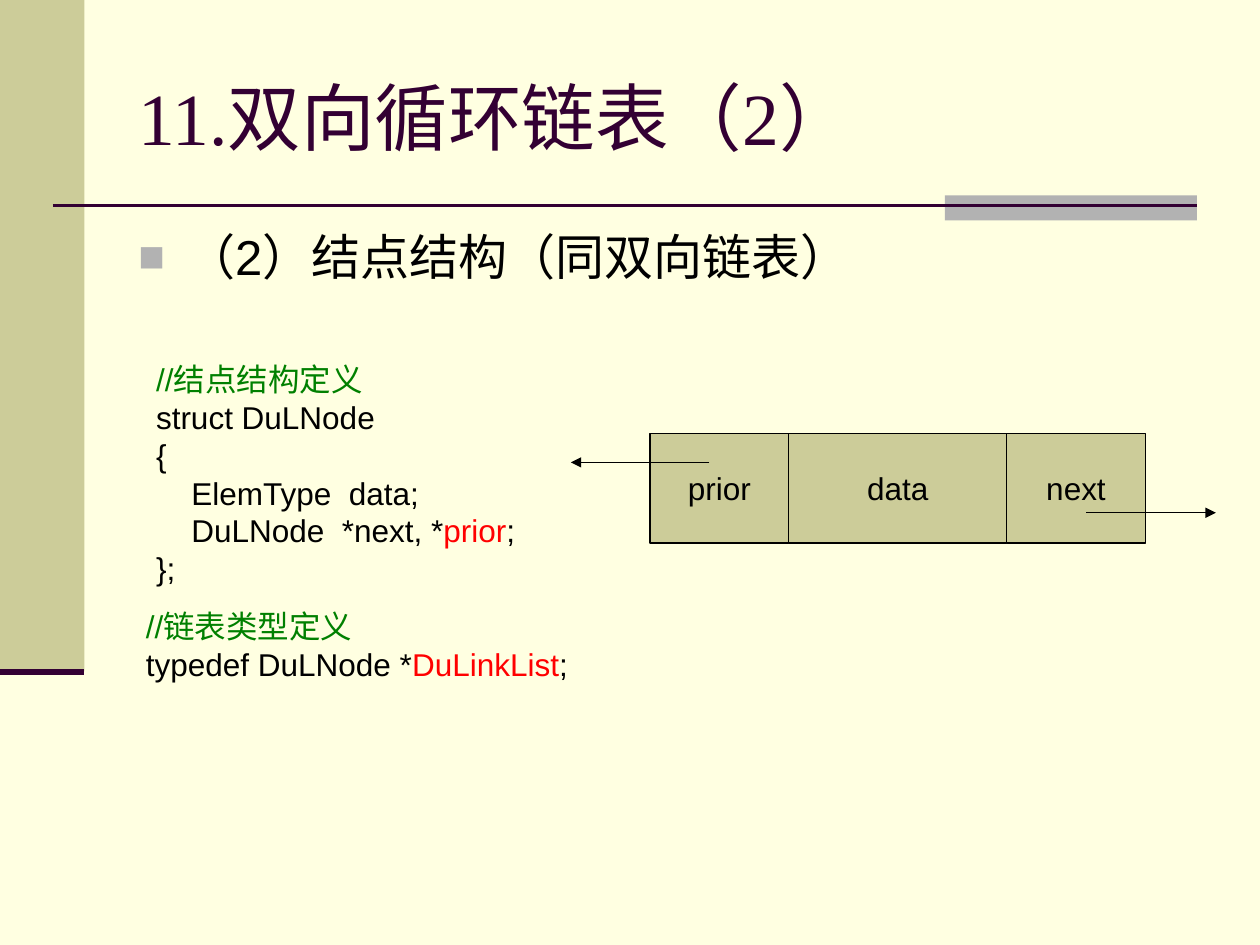
from pptx import Presentation
from pptx.dml.color import RGBColor
from pptx.enum.shapes import MSO_CONNECTOR, MSO_SHAPE
from pptx.enum.text import MSO_ANCHOR as ANCHOR, PP_ALIGN as ALIGN
from pptx.oxml.ns import qn
from pptx.util import Inches, Pt
from lxml.etree import SubElement

CREAM = RGBColor(0xFF, 0xFF, 0xE1)
KHAKI = RGBColor(0xCC, 0xCC, 0x99)
GRAY = RGBColor(0xB2, 0xB2, 0xB2)
PLUM = RGBColor(0x33, 0x00, 0x33)
BLACK = RGBColor(0, 0, 0)
GREEN = RGBColor(0, 0x80, 0)
RED = RGBColor(0xFF, 0, 0)


def write(frame, lines, size=18, font="Arial", align=ALIGN.LEFT,
          anchor=ANCHOR.TOP, wrap=True):
    """Each line is a list of (text, colour) runs."""
    frame.word_wrap = wrap
    frame.vertical_anchor = anchor
    for i, runs in enumerate(lines):
        paragraph = frame.add_paragraph() if i else frame.paragraphs[0]
        paragraph.alignment = align
        for text, color in runs:
            run = paragraph.add_run()
            run.text = text
            run.font.size = Pt(size)
            run.font.name = font
            run.font.color.rgb = color
    return frame.paragraphs


def add_box(slide, left, top, width, height, fill, outline=None):
    box = slide.shapes.add_shape(MSO_SHAPE.RECTANGLE, Inches(left), Inches(top),
                                 Inches(width), Inches(height))
    box.shadow.inherit = False
    box.fill.solid()
    box.fill.fore_color.rgb = fill
    if outline is None:
        box.line.fill.background()
    else:
        box.line.color.rgb = outline
        box.line.width = Pt(0.75)
    return box


def add_line(slide, x1, y1, x2, y2, color, width, arrow=False):
    line = slide.shapes.add_connector(MSO_CONNECTOR.STRAIGHT, Inches(x1), Inches(y1),
                                      Inches(x2), Inches(y2))
    line.line.color.rgb = color
    line.line.width = Pt(width)
    if arrow:
        SubElement(line.line._get_or_add_ln(), qn("a:tailEnd"), type="triangle")
    SubElement(line._element.spPr, qn("a:effectLst"))


def add_text(slide, left, top, width, height, lines, **style):
    box = slide.shapes.add_textbox(Inches(left), Inches(top), Inches(width), Inches(height))
    return write(box.text_frame, lines, **style)


def set_indent(paragraph, left, first=0):
    properties = paragraph._p.get_or_add_pPr()
    properties.set("marL", str(Inches(left)))
    properties.set("indent", str(Inches(first)))
    return properties


def add_decoration(slide):
    slide.background.fill.solid()
    slide.background.fill.fore_color.rgb = CREAM
    band_width, band_height = 0.67, 5.33
    add_box(slide, 0, 0, band_width, band_height, KHAKI)
    add_box(slide, 7.5, 1.55, 2, 0.2, GRAY)
    add_line(slide, 0.42, 1.63, 9.5, 1.63, PLUM, 1.5)
    add_line(slide, 0, band_height, band_width, band_height, PLUM, 3.5)


def add_title(slide, left, top, width, height):
    title = slide.shapes.title
    title.left, title.top = Inches(left), Inches(top)
    title.width, title.height = Inches(width), Inches(height)
    write(title.text_frame, [[("11.双向循环链表（2）", PLUM)]], size=42,
          font="Times New Roman", anchor=ANCHOR.MIDDLE)


def add_heading(slide, left, top, width, height):
    heading = add_text(slide, left, top, width, height,
                       [[("（2）结点结构（同双向链表）", BLACK)]], size=28)[0]
    heading.space_before = Pt(7)
    properties = set_indent(heading, 0.38, -0.38)
    bullet_color = SubElement(properties, qn("a:buClr"))
    SubElement(bullet_color, qn("a:srgbClr"), val=str(GRAY))
    SubElement(properties, qn("a:buSzPct"), val="90000")
    SubElement(properties, qn("a:buFont"), typeface="Arial")
    SubElement(properties, qn("a:buChar"), char="■")


def add_node_diagram(slide, left, top, height):
    field_left = left
    for field, width in (("prior", 1.1), ("data", 1.73), ("next", 1.1)):
        cell = add_box(slide, field_left, top, width, height, KHAKI, BLACK)
        write(cell.text_frame, [[(field, BLACK)]], align=ALIGN.CENTER,
              anchor=ANCHOR.MIDDLE, wrap=False)
        field_left += width
    next_y, prior_y = top + 0.63, top + 0.23
    add_line(slide, left + 3.46, next_y, left + 4.49, next_y, BLACK, 0.75, arrow=True)
    add_line(slide, left + 0.47, prior_y, left - 0.63, prior_y, BLACK, 0.75, arrow=True)


def add_node_code(slide, left, top, width, height):
    code = add_text(slide, left, top, width, height, [
        [("//结点结构定义", GREEN)],
        [("struct DuLNode", BLACK)],
        [("{", BLACK)],
        [("ElemType  data;", BLACK)],
        [("DuLNode  *next, *", BLACK), ("prior", RED), (";", BLACK)],
        [("};", BLACK)],
    ])
    for member in code[3:5]:
        set_indent(member, 0.28)


def add_list_code(slide, left, top, width, height):
    add_text(slide, left, top, width, height, [
        [("//链表类型定义", GREEN)],
        [("typedef DuLNode *", BLACK), ("DuLinkList", RED), (";", BLACK)],
    ])


def main():
    deck = Presentation()
    deck.slide_width, deck.slide_height = Inches(10), Inches(7.5)
    slide = deck.slides.add_slide(deck.slide_layouts[5])
    add_decoration(slide)
    add_title(slide, 1, 0.3, 8.5, 1.25)
    add_heading(slide, 1, 1.75, 8.5, 4.95)
    add_node_diagram(slide, 5.16, 3.44, 0.87)
    add_node_code(slide, 1.14, 2.81, 3.05, 1.9)
    add_list_code(slide, 1.06, 4.77, 3.55, 0.7)
    deck.save("out.pptx")


if __name__ == "__main__":
    main()
